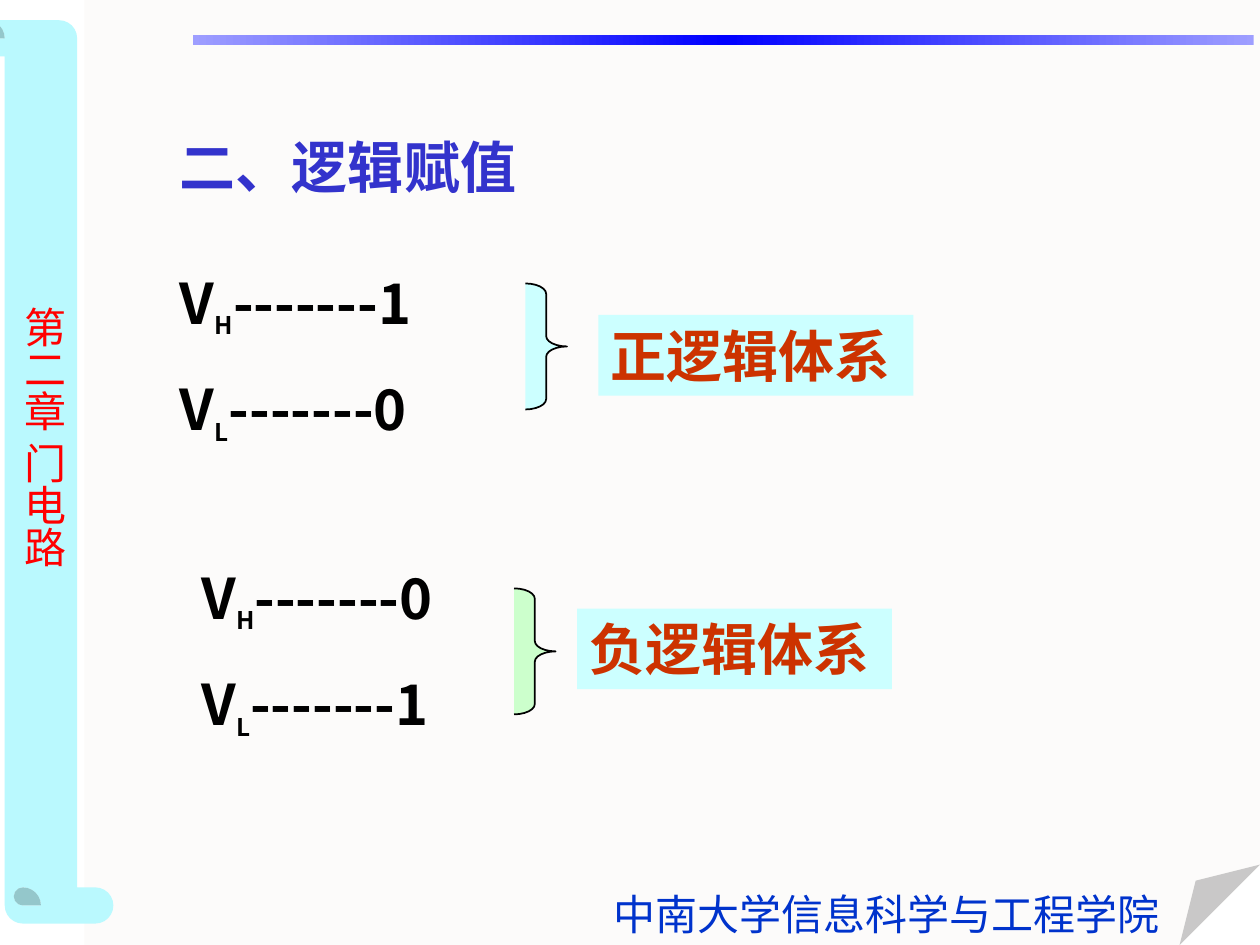
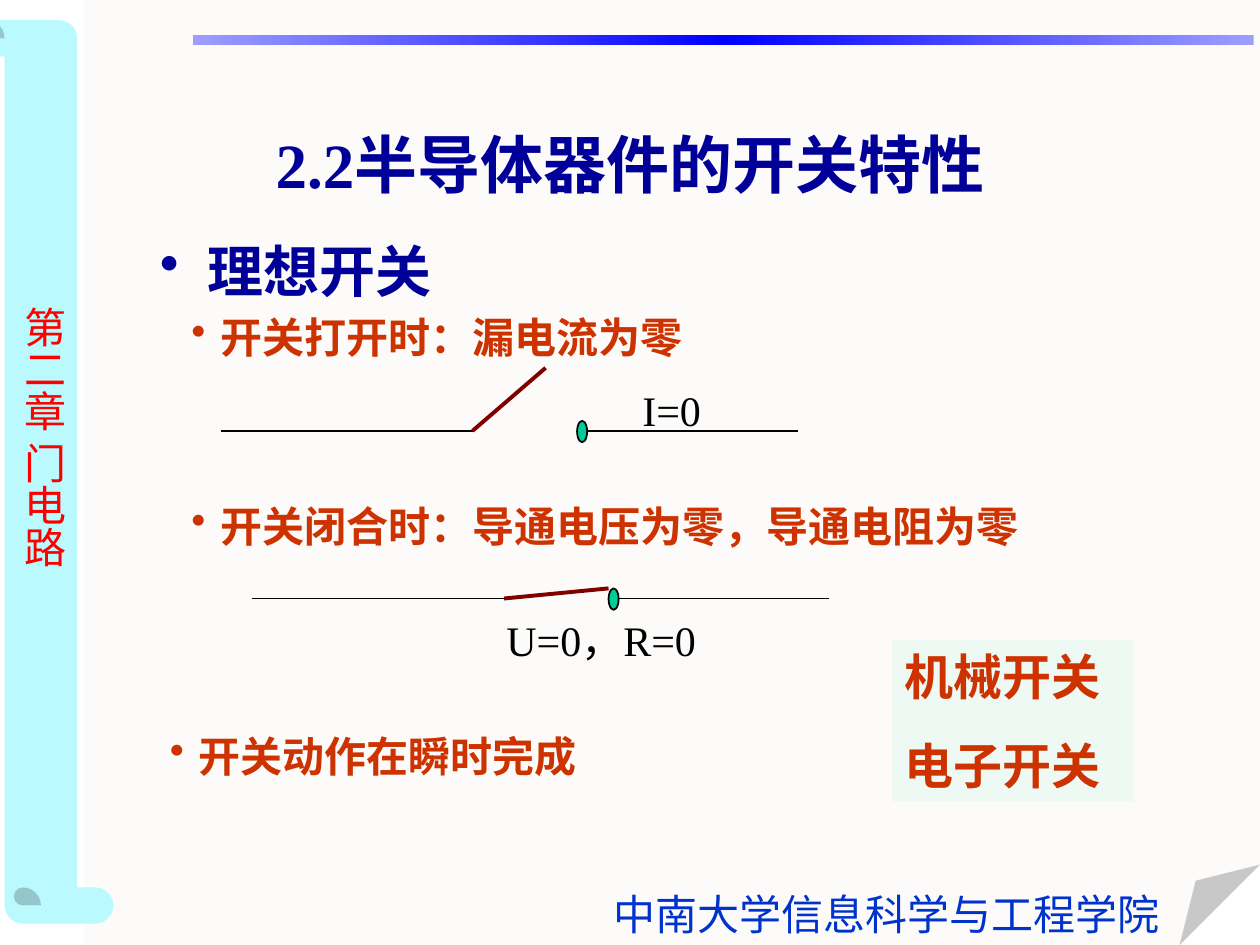
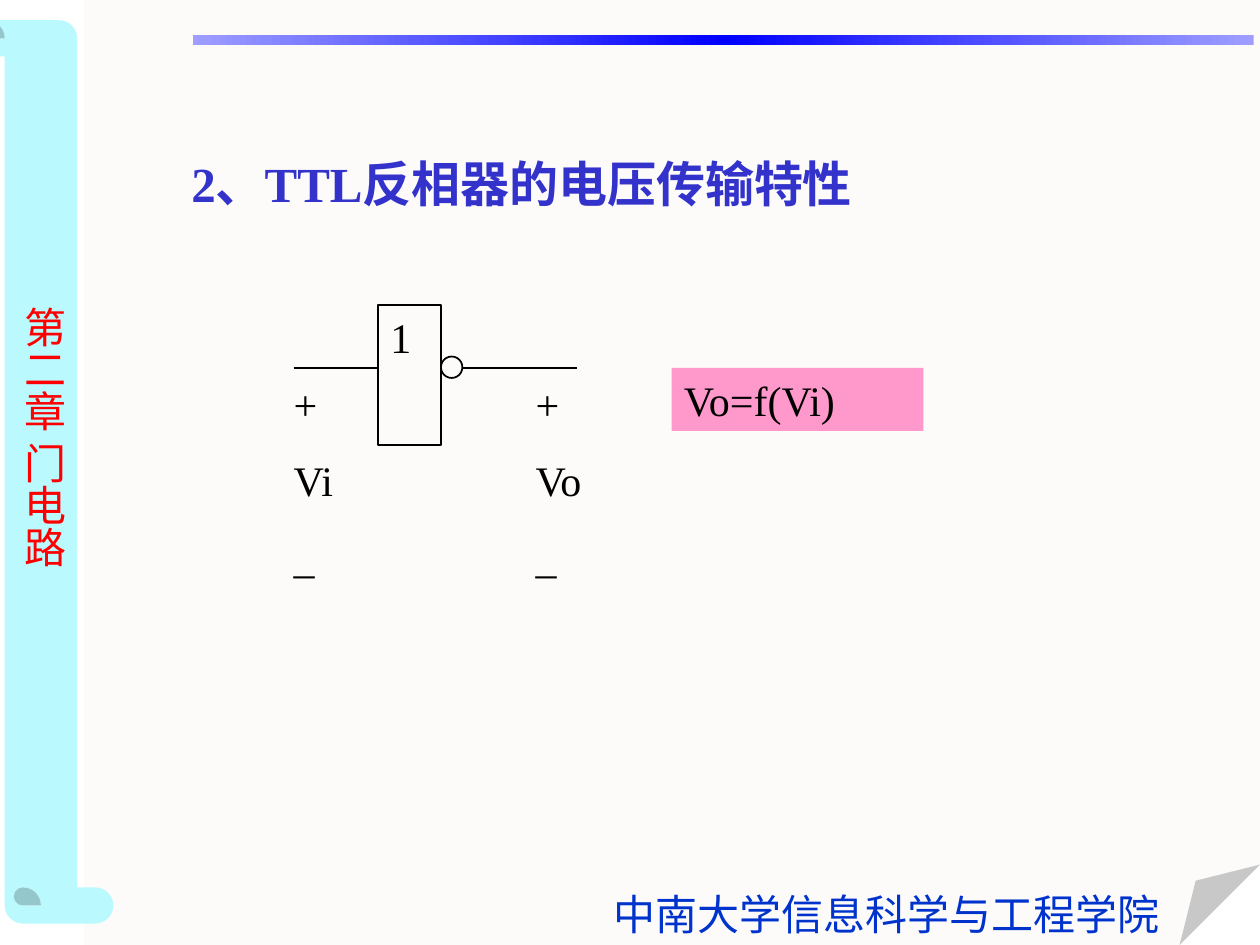
from lxml.etree import SubElement
from copy import deepcopy
from pptx import Presentation
from pptx.dml.color import RGBColor
from pptx.enum.shapes import MSO_CONNECTOR, MSO_SHAPE
from pptx.enum.text import MSO_ANCHOR, PP_ALIGN
from pptx.oxml.ns import qn
from pptx.util import Inches, Pt

SERIF = "Times New Roman"
HAN = "Noto Sans CJK SC"
BLACK, NAVY, INDIGO, RUST = "000000", "000099", "3333CC", "CC3300"
CYAN, BLADE = "CCFFFF", "800000"


def paint(color, code):
    color.rgb = RGBColor.from_string(code)


def add_run(para, text, size, code, font=SERIF, bold=False, sub=False):
    run = para.add_run()
    run.text = text
    run.font.name = font
    run.font.size = Pt(size)
    run.font.bold = bold
    paint(run.font.color, code)
    props = run.font._element
    SubElement(props, qn("a:ea")).set("typeface", HAN)
    if sub:
        props.set("baseline", "-25000")


def add_mark(para, code, indent):
    """Give the paragraph a round bullet with a hanging indent."""
    props = para._p.get_or_add_pPr()
    props.set("marL", str(Inches(indent)))
    props.set("indent", str(-Inches(indent)))
    tint = SubElement(props, qn("a:buClr"))
    SubElement(tint, qn("a:srgbClr")).set("val", code)
    SubElement(props, qn("a:buChar")).set("char", "•")


def set_frame(frame, pad=(0.1, 0.05), wrap=True, anchor=MSO_ANCHOR.TOP):
    frame.word_wrap = wrap
    frame.vertical_anchor = anchor
    frame.margin_left = frame.margin_right = Inches(pad[0])
    frame.margin_top = frame.margin_bottom = Inches(pad[1])


def add_paras(frame, count, gap):
    """Return the paragraphs, with the gap above all but the first."""
    paras = [frame.paragraphs[0]]
    for _ in range(count - 1):
        para = frame.add_paragraph()
        para.space_before = Pt(gap)
        paras.append(para)
    for para in paras:
        para.alignment = PP_ALIGN.LEFT
    return paras


def write(frame, lines, size, code, gap=15, **style):
    for para, line in zip(add_paras(frame, len(lines), gap), lines):
        add_run(para, line, size, code, **style)


def add_text(slide, at, lines, size, code, pad=(0.1, 0.05), wrap=True,
             anchor=MSO_ANCHOR.TOP, **style):
    box = slide.shapes.add_textbox(*map(Inches, at))
    set_frame(box.text_frame, pad, wrap, anchor)
    write(box.text_frame, lines, size, code, **style)
    return box.text_frame


def add_item(slide, at, text, size=24, code=RUST, indent=0.23):
    frame = add_text(slide, at, [text], size, code, bold=True)
    add_mark(frame.paragraphs[0], code, indent)


def add_form(slide, kind, at, fill=None, line=None):
    form = slide.shapes.add_shape(kind, *map(Inches, at))
    form.shadow.inherit = False
    if fill:
        form.fill.solid()
        paint(form.fill.fore_color, fill)
    else:
        form.fill.background()
    if line:
        paint(form.line.color, line)
        form.line.width = Pt(1)
    else:
        form.line.fill.background()
    return form


def adjust(form, name, value):
    """Set one shape guide, also where the preset lists none."""
    guides = form._element.spPr.find(".//" + qn("a:avLst"))
    for guide in list(guides):
        guides.remove(guide)
    guide = SubElement(guides, qn("a:gd"))
    guide.set("name", name)
    guide.set("fmla", f"val {round(value * 100000)}")


def add_panel(slide, at, lines, size, code, fill=None, line=None, **style):
    form = add_form(slide, MSO_SHAPE.RECTANGLE, at, fill, line)
    set_frame(form.text_frame)
    write(form.text_frame, lines, size, code, **style)


def add_line(slide, start, end, code=BLACK, width=1):
    line = slide.shapes.add_connector(
        MSO_CONNECTOR.STRAIGHT, *map(Inches, start + end))
    paint(line.line.color, code)
    line.line.width = Pt(width)
    SubElement(line._element.spPr, qn("a:effectLst"))


def add_bar(slide):
    bar = add_form(slide, MSO_SHAPE.RECTANGLE, (1.53, 0.28, 8.42, 0.08))
    bar.fill.gradient()
    bar.fill.gradient_angle = 0
    first = bar._element.spPr.find(".//" + qn("a:gs"))
    first.addnext(deepcopy(first))
    tints = (0, "9E9EFF"), (0.5, "0000FF"), (1, "9E9EFF")
    for stop, (place, code) in zip(bar.fill.gradient_stops, tints):
        stop.position = place
        paint(stop.color, code)


def add_frame(slide):
    """Draw the page, scroll, top bar and labels that every slide has."""
    page = add_form(slide, MSO_SHAPE.FOLDED_CORNER, (0.67, 0, 9.33, 7.5), "FCFBFA")
    adjust(page, "adj", 0.085)
    scroll = add_form(slide, MSO_SHAPE.HORIZONTAL_SCROLL,
                      (-3.26, 3.17, 7.17, 1.15), "BAF9FE")
    adjust(scroll, "adj", 0.25)
    scroll.rotation = 270
    add_bar(slide)
    add_text(slide, (4.77, 7, 4.53, 0.5), ["中南大学信息科学与工程学院"],
             24, "0033CC", wrap=False)
    label = add_text(slide, (0, 2.33, 0.6, 2.27), ["第二章 门电路"], 24, "FF0000",
                     pad=(0.05, 0.1), wrap=False, font=HAN)
    label._txBody.bodyPr.set("vert", "eaVert")


def add_levels(slide, left, top, high, low):
    box = slide.shapes.add_textbox(*map(Inches, (left, top, 2.5, 1.51)))
    set_frame(box.text_frame)
    pairs = ("H", high), ("L", low)
    for para, (level, value) in zip(add_paras(box.text_frame, 2, 20), pairs):
        add_run(para, "V", 32, BLACK, HAN, True)
        add_run(para, level, 24, BLACK, HAN, True, sub=True)
        add_run(para, "-------" + value, 32, BLACK, HAN, True)


def add_brace(slide, spot, fill, label, place):
    """Draw a brace at spot and the name of the logic system at place."""
    brace = add_form(slide, MSO_SHAPE.RIGHT_BRACE, spot + (0.33, 1), fill, BLACK)
    adjust(brace, "adj1", 0.25)
    add_panel(slide, place + (2.5, 0.64), [label], 32, RUST, CYAN, bold=True)


def add_switch(slide, left, level, tip):
    """Draw a wire, a blade that ends at tip, and the contact with its wire."""
    hinge = left + 2
    contact = hinge + 0.83
    add_line(slide, (left, level), (hinge, level))
    add_line(slide, (hinge, level), tip, BLADE, 2.25)
    add_line(slide, (contact, level), (contact + 1.75, level))
    add_form(slide, MSO_SHAPE.OVAL, (contact, level - 0.08, 0.08, 0.17),
             "00CC99", BLACK)


def show_logic(slide):
    add_text(slide, (1.33, 1, 3.42, 0.64), ["二、逻辑赋值"], 32, INDIGO,
             font=HAN, bold=True)
    add_levels(slide, 1.33, 2.08, "1", "0")
    add_brace(slide, (4.17, 2.25), CYAN, "正逻辑体系", (4.75, 2.5))
    add_levels(slide, 1.5, 4.42, "0", "1")
    add_brace(slide, (4.08, 4.67), "CCFFCC", "负逻辑体系", (4.58, 4.83))


def show_switch(slide):
    title = add_text(slide, (0.75, 0.67, 8.5, 1.25), ["2.2半导体器件的开关特性"],
                     36, NAVY, anchor=MSO_ANCHOR.MIDDLE, bold=True)
    title.paragraphs[0].alignment = PP_ALIGN.CENTER
    add_item(slide, (1.17, 1.83, 3.83, 0.92), "理想开关", 32, NAVY, 0.38)
    add_item(slide, (1.42, 2.42, 4.83, 0.5), "开关打开时：漏电流为零")
    add_item(slide, (1.42, 3.92, 7.17, 0.5), "开关闭合时：导通电压为零，导通电阻为零")
    add_switch(slide, 1.75, 3.42, (4.33, 2.92))
    add_text(slide, (5, 3, 1.17, 0.5), ["I=0"], 24, BLACK)
    add_switch(slide, 2, 4.75, (4.83, 4.67))
    add_text(slide, (3.92, 4.83, 2.67, 0.5), ["U=0，R=0"], 24, BLACK)
    add_item(slide, (1.25, 5.75, 7.67, 0.5), "开关动作在瞬时完成")
    add_panel(slide, (7.08, 5.08, 1.92, 1.28), ["机械开关", "电子开关"],
              28, RUST, "EEF9F4", gap=17.5, bold=True)


def show_gate(slide):
    add_text(slide, (1.42, 1.17, 7.75, 0.57), ["2、TTL反相器的电压传输特性"],
             28, INDIGO, bold=True)
    level = 2.92
    add_line(slide, (2.33, level), (3, level))
    add_panel(slide, (3, 2.42, 0.5, 1.11), ["1"], 24, BLACK, line=BLACK)
    add_form(slide, MSO_SHAPE.OVAL, (3.5, 2.83, 0.17, 0.17), line=BLACK)
    add_line(slide, (3.67, level), (4.58, level))
    for left, width, name in (2.33, 0.33, "Vi"), (4.25, 0.58, "Vo"):
        add_text(slide, (left, 3, width, 1.62), ["+", name, "_"], 24, BLACK,
                 pad=(0, 0))
    add_panel(slide, (5.33, level, 2, 0.5), ["Vo=f(Vi)"], 24, BLACK, "FF99CC")


def main():
    deck = Presentation()
    deck.slide_width, deck.slide_height = Inches(10), Inches(7.5)
    for show in show_logic, show_switch, show_gate:
        slide = deck.slides.add_slide(deck.slide_layouts[6])
        add_frame(slide)
        show(slide)
    deck.save("out.pptx")


if __name__ == "__main__":
    main()
